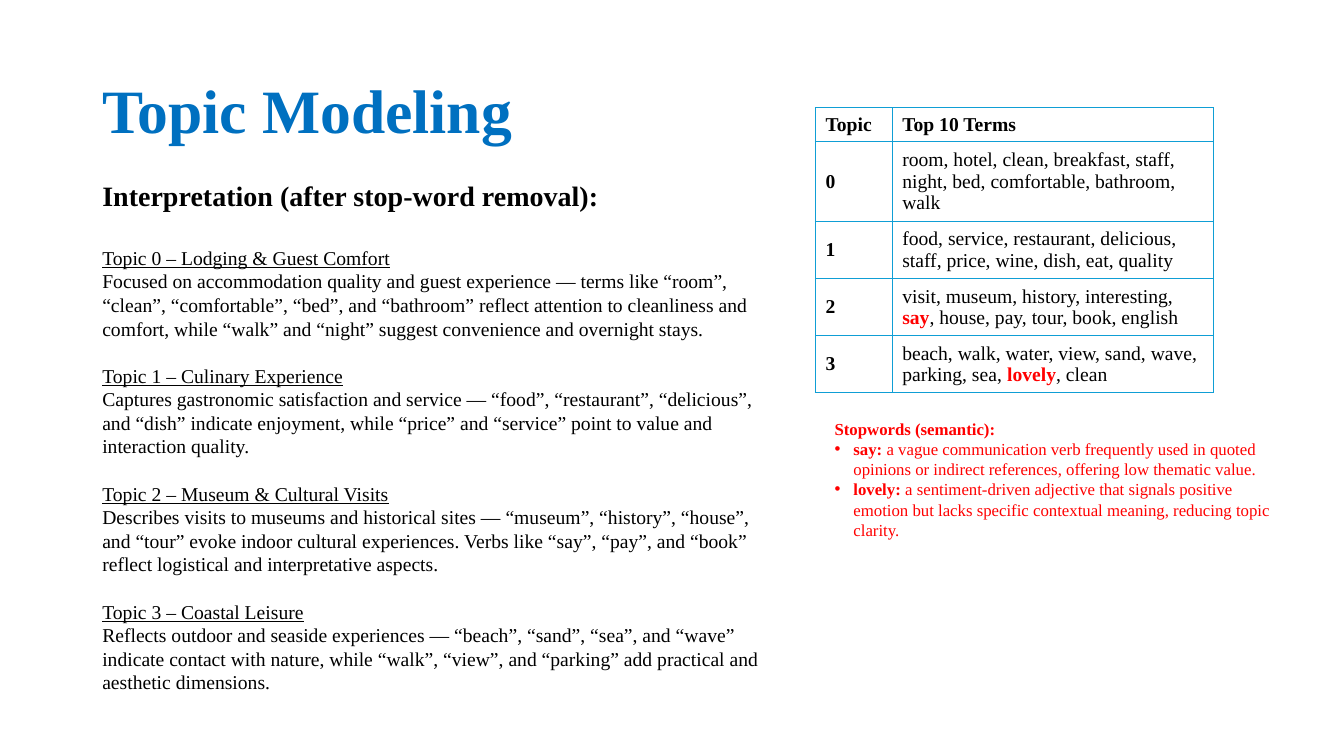
from lxml.etree import SubElement
from pptx import Presentation
from pptx.dml.color import RGBColor
from pptx.enum.text import MSO_ANCHOR
from pptx.oxml.ns import qn
from pptx.util import Pt

BLACK = RGBColor(0, 0, 0)
BLUE = RGBColor(0x00, 0x70, 0xC0)
RED = RGBColor(0xFF, 0, 0)
BORDER = RGBColor(0x0F, 0x9E, 0xD5)
FONT = "Times New Roman"

TITLE = "Topic Modeling"
HEADING = "Interpretation (after stop-word removal):"
TOPICS = [
    ("Topic 0 – Lodging & Guest Comfort",
     "Focused on accommodation quality and guest experience — terms like “room”, “clean”, "
     "“comfortable”, “bed”, and “bathroom” reflect attention to cleanliness and comfort, "
     "while “walk” and “night” suggest convenience and overnight stays."),
    ("Topic 1 – Culinary Experience",
     "Captures gastronomic satisfaction and service — “food”, “restaurant”, “delicious”, "
     "and “dish” indicate enjoyment, while “price” and “service” point to value and "
     "interaction quality."),
    ("Topic 2 – Museum & Cultural Visits",
     "Describes visits to museums and historical sites — “museum”, “history”, “house”, "
     "and “tour” evoke indoor cultural experiences. Verbs like “say”, “pay”, and “book” "
     "reflect logistical and interpretative aspects."),
    ("Topic 3 – Coastal Leisure",
     "Reflects outdoor and seaside experiences — “beach”, “sand”, “sea”, and “wave” "
     "indicate contact with nature, while “walk”, “view”, and “parking” add practical and "
     "aesthetic dimensions."),
]
TERMS = [
    ("room, hotel, clean, breakfast, staff, night, bed, comfortable, bathroom, walk", "", ""),
    ("food, service, restaurant, delicious, staff, price, wine, dish, eat, quality", "", ""),
    ("visit, museum, history, interesting, ", "say", ", house, pay, tour, book, english"),
    ("beach, walk, water, view, sand, wave, parking, sea, ", "lovely", ", clean"),
]
STOPWORDS_HEADING = "Stopwords (semantic):"
STOPWORDS = [
    ("say: ", "a vague communication verb frequently used in quoted opinions or indirect "
              "references, offering low thematic value."),
    ("lovely: ", "a sentiment-driven adjective that signals positive emotion but lacks "
                 "specific contextual meaning, reducing topic clarity."),
]
COLUMN_WIDTHS = [54.8, 229.7]
ROW_HEIGHTS = [24, 57.3, 40.8, 40.8, 40.8]
HEADING_LINE, BODY_LINE, NOTE_LINE, TABLE_LINE = 24.1, 16.85, 14.45, 15.5


def add_run(paragraph, text, size, color=BLACK, bold=False, underline=False):
    run = paragraph.add_run()
    run.text = text
    font = run.font
    font.name, font.size, font.bold, font.underline = FONT, Pt(size), bold, underline
    font.color.rgb = color


def add_text_frame(slide, left, top, width, height, anchor):
    frame = slide.shapes.add_textbox(Pt(left), Pt(top), Pt(width), Pt(height)).text_frame
    frame.word_wrap = True
    frame.vertical_anchor = anchor
    return frame


def add_paragraph(frame, line, space_before=0):
    paragraph = frame.add_paragraph()
    paragraph.line_spacing = Pt(line)
    paragraph.space_before = Pt(space_before)
    return paragraph


def add_bullet(paragraph):
    properties = paragraph._p.get_or_add_pPr()
    properties.set("marL", str(Pt(13.5)))
    properties.set("indent", str(-Pt(13.5)))
    SubElement(properties, qn("a:buFont"), typeface="Arial")
    SubElement(properties, qn("a:buChar"), char="•")


def style_cell(cell):
    cell.vertical_anchor = MSO_ANCHOR.MIDDLE
    properties = cell._tc.get_or_add_tcPr()
    for side in ("lnL", "lnR", "lnT", "lnB"):
        line = SubElement(properties, qn(f"a:{side}"), w=str(Pt(1)))
        fill = SubElement(line, qn("a:solidFill"))
        SubElement(fill, qn("a:srgbClr"), val=str(BORDER))
    cell.fill.background()


def add_terms_table(slide):
    rows = [("Topic", [("Top 10 Terms", True, BLACK)])]
    for number, (before, stopword, after) in enumerate(TERMS):
        parts = [(before, False, BLACK), (stopword, True, RED), (after, False, BLACK)]
        rows.append((str(number), [part for part in parts if part[0]]))
    table = slide.shapes.add_table(
        len(rows), len(COLUMN_WIDTHS), Pt(582.5), Pt(77),
        Pt(sum(COLUMN_WIDTHS)), Pt(sum(ROW_HEIGHTS))).table
    for column, width in zip(table.columns, COLUMN_WIDTHS):
        column.width = Pt(width)
    for row, height, (label, terms) in zip(table.rows, ROW_HEIGHTS, rows):
        row.height = Pt(height)
        for cell, parts in zip(row.cells, ([(label, True, BLACK)], terms)):
            style_cell(cell)
            paragraph = cell.text_frame.paragraphs[0]
            paragraph.line_spacing = Pt(TABLE_LINE)
            for text, bold, color in parts:
                add_run(paragraph, text, 14, color, bold)


def main():
    presentation = Presentation()
    presentation.slide_width, presentation.slide_height = Pt(960), Pt(540)
    slide = presentation.slides.add_slide(presentation.slide_layouts[6])

    title = add_text_frame(slide, 66, 28.75, 828, 104.4, MSO_ANCHOR.MIDDLE).paragraphs[0]
    title.line_spacing = 0.9
    add_run(title, TITLE, 44, BLUE, True)

    body = add_text_frame(slide, 66, 122.4, 490.3, 378, MSO_ANCHOR.MIDDLE)
    heading = body.paragraphs[0]
    heading.line_spacing = Pt(HEADING_LINE)
    add_run(heading, HEADING, 20, bold=True)
    for index, (name, description) in enumerate(TOPICS):
        gap = BODY_LINE if index else HEADING_LINE
        add_run(add_paragraph(body, BODY_LINE, gap), name, 14, underline=True)
        add_run(add_paragraph(body, BODY_LINE), description, 14)

    notes = add_text_frame(slide, 589, 295.2, 331.9, 94.3, MSO_ANCHOR.TOP)
    notes_heading = notes.paragraphs[0]
    notes_heading.line_spacing = Pt(NOTE_LINE)
    add_run(notes_heading, STOPWORDS_HEADING, 12, RED, True)
    for word, reason in STOPWORDS:
        paragraph = add_paragraph(notes, NOTE_LINE)
        add_bullet(paragraph)
        add_run(paragraph, word, 12, RED, True)
        add_run(paragraph, reason, 12, RED)

    add_terms_table(slide)
    presentation.save("out.pptx")


if __name__ == "__main__":
    main()
